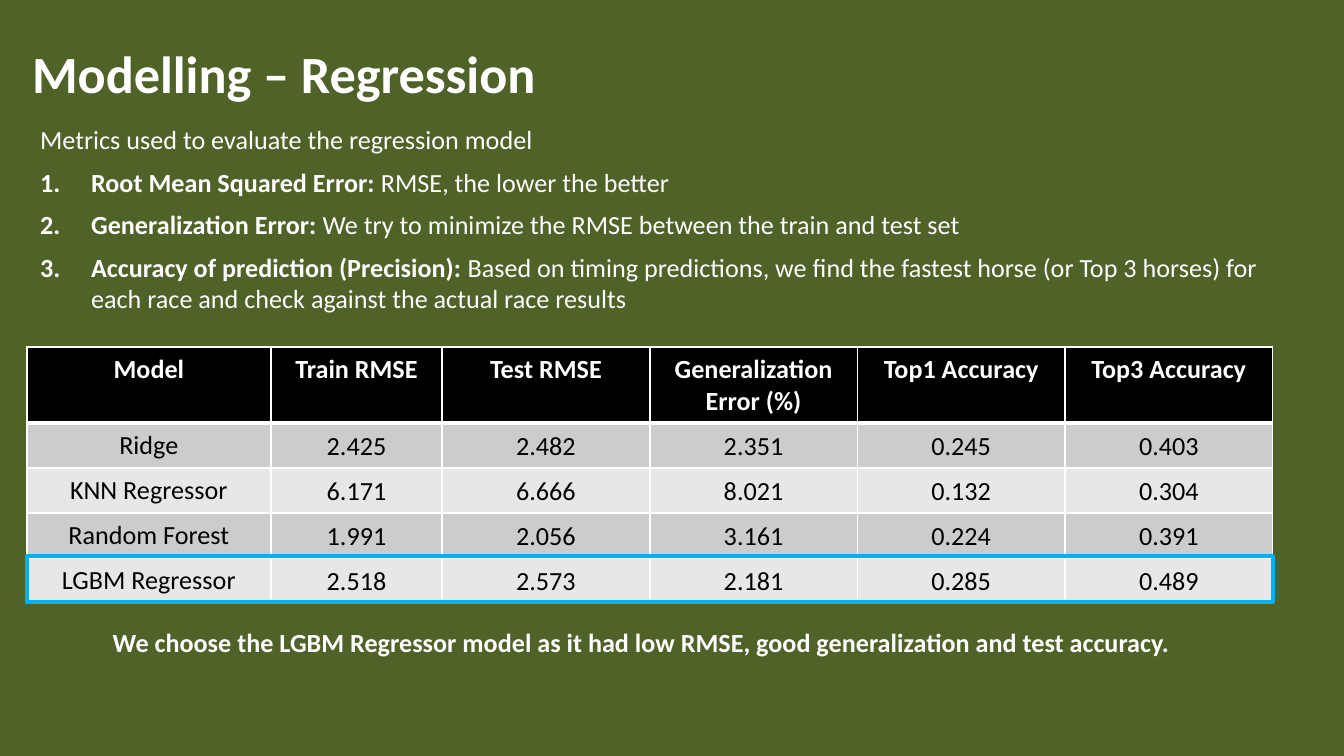
from dataclasses import dataclass

from lxml.etree import SubElement
from pptx import Presentation
from pptx.dml.color import RGBColor
from pptx.enum.shapes import MSO_SHAPE
from pptx.enum.text import MSO_ANCHOR, PP_ALIGN
from pptx.oxml.ns import qn
from pptx.util import Inches, Pt


@dataclass(frozen=True)
class Theme:
    font: str = "Calibri"
    background: str = "4F6228"
    light: str = "FFFFFF"
    dark: str = "000000"
    bands: tuple = ("CCCCCC", "E7E7E7")
    highlight: str = "00B0F0"
    title_size: int = 28
    body_size: int = 14


THEME = Theme()

TITLE = "Modelling – Regression"
INTRODUCTION = "Metrics used to evaluate the regression model"
METRICS = [
    ("Root Mean Squared Error: ", "RMSE, the lower the better"),
    ("Generalization Error: ",
     "We try to minimize the RMSE between the train and test set"),
    ("Accuracy of prediction (Precision): ",
     "Based on timing predictions, we find the fastest horse (or Top 3 horses) "
     "for each race and check against the actual race results"),
]
RESULTS = [
    ("Model", "Train RMSE", "Test RMSE", "Generalization Error (%)",
     "Top1 Accuracy", "Top3 Accuracy"),
    ("Ridge", "2.425", "2.482", "2.351", "0.245", "0.403"),
    ("KNN Regressor", "6.171", "6.666", "8.021", "0.132", "0.304"),
    ("Random Forest", "1.991", "2.056", "3.161", "0.224", "0.391"),
    ("LGBM Regressor", "2.518", "2.573", "2.181", "0.285", "0.489"),
]
CONCLUSION = ("We choose the LGBM Regressor model as it had low RMSE, "
              "good generalization and test accuracy.")
COLUMN_SHARES = [1.81, 1.27] + [1.54] * 4
HEADER_HEIGHT = 0.56


def set_attributes(target, values):
    for name, value in values.items():
        setattr(target, name, value)


def add_run(paragraph, text, size=THEME.body_size, color=THEME.light, bold=False):
    run = paragraph.add_run()
    run.text = text
    set_attributes(run.font, {"name": THEME.font, "size": Pt(size), "bold": bold})
    run.font.color.rgb = RGBColor.from_string(color)


def add_text_frame(slide, box, anchor=MSO_ANCHOR.TOP):
    frame = slide.shapes.add_textbox(*map(Inches, box)).text_frame
    set_attributes(frame, {"word_wrap": True, "vertical_anchor": anchor})
    return frame


def number_paragraph(paragraph, indent=0.38):
    properties = paragraph._p.get_or_add_pPr()
    properties.set("marL", str(Inches(indent)))
    properties.set("indent", str(-Inches(indent)))
    SubElement(properties, qn("a:buFont"), typeface="+mj-lt")
    SubElement(properties, qn("a:buAutoNum"), type="arabicPeriod")


def add_line(slide, box, text, size, anchor=MSO_ANCHOR.TOP):
    frame = add_text_frame(slide, box, anchor)
    add_run(frame.paragraphs[0], text, size, bold=True)


def add_metrics(slide, box):
    frame = add_text_frame(slide, box)
    add_run(frame.paragraphs[0], INTRODUCTION)
    for name, explanation in METRICS:
        paragraph = frame.add_paragraph()
        number_paragraph(paragraph)
        paragraph.space_before = Pt(6)
        add_run(paragraph, name, bold=True)
        add_run(paragraph, explanation)


def add_borders(cell, bottom_width):
    properties = cell._tc.get_or_add_tcPr()
    for side, width in {"L": 1, "R": 1, "T": 1, "B": bottom_width}.items():
        line = SubElement(properties, qn(f"a:ln{side}"), w=str(Pt(width)))
        fill = SubElement(line, qn("a:solidFill"))
        SubElement(fill, qn("a:srgbClr"), val=THEME.light)


def fill_cell(cell, text, row, column):
    header = row == 0
    add_borders(cell, bottom_width=3 if header else 1)
    cell.fill.solid()
    cell.fill.fore_color.rgb = RGBColor.from_string(
        THEME.dark if header else THEME.bands[(row - 1) % 2])
    cell.vertical_anchor = MSO_ANCHOR.TOP if header else MSO_ANCHOR.MIDDLE
    if not header and column > 0:
        set_attributes(cell, {
            "margin_left": Inches(0.01), "margin_right": Inches(0.01),
            "margin_top": Inches(0.01), "margin_bottom": 0,
        })
    paragraph = cell.text_frame.paragraphs[0]
    paragraph.alignment = PP_ALIGN.CENTER
    add_run(paragraph, text, color=THEME.light if header else THEME.dark, bold=header)


def add_results(slide, box):
    left, top, width, height = box
    table = slide.shapes.add_table(
        len(RESULTS), len(COLUMN_SHARES), *map(Inches, box)).table
    set_attributes(table, {"first_row": False, "horz_banding": False})
    for column, share in zip(table.columns, COLUMN_SHARES):
        column.width = Inches(width * share / sum(COLUMN_SHARES))
    row_height = (height - HEADER_HEIGHT) / (len(RESULTS) - 1)
    for index, row in enumerate(table.rows):
        row.height = Inches(row_height if index else HEADER_HEIGHT)
    for row, texts in enumerate(RESULTS):
        for column, text in enumerate(texts):
            fill_cell(table.cell(row, column), text, row, column)

    # Frame around the chosen model in the last row
    frame_height = 0.34
    frame = slide.shapes.add_shape(
        MSO_SHAPE.RECTANGLE, Inches(left), Inches(top + height - frame_height),
        Inches(width), Inches(frame_height))
    frame.shadow.inherit = False
    frame.fill.background()
    frame.line.color.rgb = RGBColor.from_string(THEME.highlight)
    frame.line.width = Pt(2)


def build_slide(presentation):
    slide = presentation.slides.add_slide(presentation.slide_layouts[6])
    slide.background.fill.solid()
    slide.background.fill.fore_color.rgb = RGBColor.from_string(THEME.background)

    # Title and metrics
    add_line(slide, (0.14, 0.12, 9.02, 0.84), TITLE, THEME.title_size,
             MSO_ANCHOR.MIDDLE)
    add_metrics(slide, (0.2, 0.87, 9.44, 2.57))

    # Results and conclusion
    add_results(slide, (0.2, 2.58, 9.27, 1.9))
    add_line(slide, (0.74, 4.61, 8.38, 0.54), CONCLUSION, THEME.body_size)


def main():
    presentation = Presentation()
    # Widescreen page, 16 to 9
    set_attributes(presentation, {
        "slide_width": Inches(10), "slide_height": Inches(10 * 9 / 16)})
    build_slide(presentation)
    presentation.save("out.pptx")


if __name__ == "__main__":
    main()
